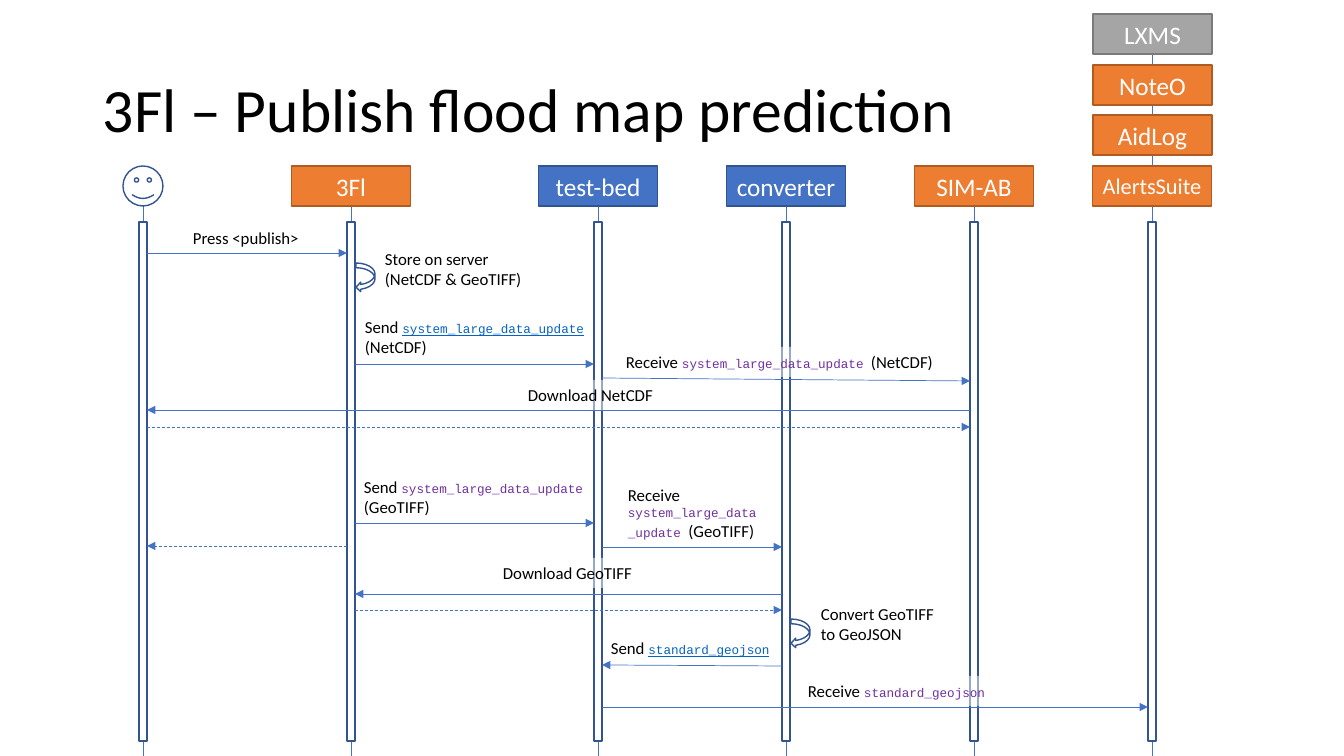
from dataclasses import dataclass

import pptx
import pptx.dml.color
import pptx.enum.dml
import pptx.enum.shapes
import pptx.enum.text
import pptx.oxml
import pptx.oxml.ns
import pptx.util

EMU_PER_PIXEL = 914400 / 100.8
SHAPE = pptx.enum.shapes.MSO_SHAPE
ANCHOR = pptx.enum.text.MSO_ANCHOR
ALIGN = pptx.enum.text.PP_ALIGN


@dataclass(frozen=True)
class Theme:
    """Colours, fonts and type sizes of the slide."""
    body: str = "Calibri"
    mono: str = "Courier New"
    ink: str = "000000"
    paper: str = "FFFFFF"
    line: str = "4472C4"
    outline: str = "325491"
    link: str = "0563C1"
    topic: str = "7030A0"
    blue: tuple = ("4472C4", "325491")
    orange: tuple = ("ED7D31", "AF5C24")
    grey: tuple = ("A5A5A5", "7A7A7A")
    title_size: int = 44
    header_size: int = 18
    long_header_size: int = 16
    label_size: int = 12
    code_size: int = 9


@dataclass(frozen=True)
class Box:
    """A region in pixels."""
    left: int
    top: int
    width: int
    height: int

    def within(self, left, top, width, height):
        """Return a box placed relative to this one."""
        return Box(self.left + left, self.top + top, width, height)

    def emu(self):
        """Return the four lengths in EMU."""
        return [px(n) for n in (self.left, self.top, self.width, self.height)]


THEME = Theme()
HEADER_WIDTH, HEADER_HEIGHT = 119, 40
BAR_TOP, BAR_HEIGHT, BAR_HALF = 56, 519, 4
LIFELINE_X = {"user": 50, "model": 258, "test-bed": 505,
              "converter": 693, "simulator": 881, "suite": 1059}
HEADERS = {
    "model": ("3Fl", THEME.orange, THEME.header_size),
    "test-bed": ("test-bed", THEME.blue, THEME.header_size),
    "converter": ("converter", THEME.blue, THEME.header_size),
    "simulator": ("SIM-AB", THEME.orange, THEME.header_size),
    "suite": ("AlertsSuite", THEME.orange, THEME.long_header_size),
}
STACK = [("LXMS", THEME.grey), ("NoteO", THEME.orange), ("AidLog", THEME.orange)]
MESSAGES = [
    ("user", "model", 87, 87, False),
    ("model", "test-bed", 198, 198, False),
    ("test-bed", "simulator", 212, 215, False),
    ("simulator", "user", 244, 244, False),
    ("user", "simulator", 261, 261, True),
    ("model", "test-bed", 357, 357, False),
    ("model", "user", 380, 380, True),
    ("test-bed", "converter", 381, 381, False),
    ("converter", "model", 428, 428, False),
    ("model", "converter", 444, 444, True),
    ("converter", "test-bed", 500, 499, False),
    ("test-bed", "suite", 541, 541, False),
]
SELF_CALLS = [("model", 97), ("converter", 453)]
UPDATE, GEOJSON = "system_large_data_update", "standard_geojson"
LABELS = [
    ((90, 57, 127, 30), [["Press <publish>"]], False, False),
    ((282, 78, 158, 50), [["Store on server"], ["(NetCDF & GeoTIFF)"]], False, False),
    ((262, 146, 241, 50), [["Send ", (UPDATE, THEME.link)], ["(NetCDF)"]], False, False),
    ((523, 181, 341, 30), [["Receive ", (UPDATE + " ", THEME.topic), "(NetCDF)"]], True, True),
    ((425, 214, 147, 30), [["Download NetCDF"]], True, False),
    ((261, 306, 241, 50), [["Send ", (UPDATE, THEME.topic)], ["(GeoTIFF)"]], False, False),
    ((525, 314, 150, 67), [["Receive ", (UPDATE + " ", THEME.topic), "(GeoTIFF)"]], False, True),
    ((400, 392, 151, 30), [["Download GeoTIFF"]], True, False),
    ((718, 433, 135, 50), [["Convert GeoTIFF"], ["to GeoJSON"]], False, False),
    ((508, 467, 179, 30), [["Send ", (GEOJSON, THEME.link)]], False, False),
    ((705, 510, 206, 30), [["Receive ", (GEOJSON, THEME.topic)]], True, True),
]


def px(pixels):
    """Turn pixels into EMU."""
    return pptx.util.Emu(round(pixels * EMU_PER_PIXEL))


def rgb(code):
    """Turn a hex code into a colour."""
    return pptx.dml.color.RGBColor.from_string(code)


def append_xml(parent, tag, **attributes):
    """Append a drawing element to its parent."""
    child = pptx.oxml.parse_xml(f"<a:{tag} {pptx.oxml.ns.nsdecls('a')}/>")
    for key, setting in attributes.items():
        child.set(key, setting)
    parent.append(child)


def style_run(run, font, size, colour):
    """Set the font, size and colour of a run."""
    run.font.name = font
    run.font.size = pptx.util.Pt(size)
    run.font.color.rgb = rgb(colour)


def draw_shape(slide, preset, box, fill, outline):
    """Draw a preset shape, hollow when it has no fill."""
    shape = slide.shapes.add_shape(preset, *box.emu())
    shape.shadow.inherit = False
    if fill:
        shape.fill.solid()
        shape.fill.fore_color.rgb = rgb(fill)
    else:
        shape.fill.background()
    if outline:
        shape.line.color.rgb = rgb(outline)
        shape.line.width = pptx.util.Pt(1)
    else:
        shape.line.fill.background()
    return shape


def draw_line(slide, start, end, dashed=False, arrow=False):
    """Draw a thin line between two points."""
    line = slide.shapes.add_connector(pptx.enum.shapes.MSO_CONNECTOR.STRAIGHT,
                                      *[px(n) for n in (*start, *end)])
    line.line.color.rgb = rgb(THEME.line)
    line.line.width = pptx.util.Pt(0.5)
    if dashed:
        line.line.dash_style = pptx.enum.dml.MSO_LINE.DASH
    if arrow:
        append_xml(line.line._get_or_add_ln(), "tailEnd", type="triangle")
    append_xml(line._element.spPr, "effectLst")


def draw_title(slide, box):
    """Write the slide title."""
    frame = slide.shapes.add_textbox(*box.emu()).text_frame
    frame.word_wrap = True
    frame.vertical_anchor = ANCHOR.MIDDLE
    frame.text = "3Fl – Publish flood map prediction"
    frame.paragraphs[0].line_spacing = 0.9
    style_run(frame.paragraphs[0].runs[0], THEME.body, THEME.title_size, THEME.ink)


def draw_header(slide, box, name, colours, size):
    """Draw the name box of a participant."""
    frame = draw_shape(slide, SHAPE.RECTANGLE, box, *colours).text_frame
    frame.word_wrap = False
    frame.vertical_anchor = ANCHOR.MIDDLE
    frame.text = name
    frame.paragraphs[0].alignment = ALIGN.CENTER
    style_run(frame.paragraphs[0].runs[0], THEME.body, size, THEME.paper)


def draw_stack(slide, box):
    """Draw the participants that share the last lifeline."""
    centre = box.left + box.width / 2
    draw_line(slide, (centre, box.top + HEADER_HEIGHT), (centre, box.top + box.height))
    for row, (name, colours) in enumerate(STACK):
        place = box.within(0, round(row * box.height / len(STACK)), box.width, HEADER_HEIGHT)
        draw_header(slide, place, name, colours, THEME.header_size)


def draw_lifelines(slide, box):
    """Draw each participant with its stem and activation bar."""
    for participant, x in LIFELINE_X.items():
        centre = box.left + x
        draw_line(slide, (centre, box.top + HEADER_HEIGHT), (centre, box.top + box.height))
        bar = box.within(x - BAR_HALF, BAR_TOP, 2 * BAR_HALF, BAR_HEIGHT)
        draw_shape(slide, SHAPE.RECTANGLE, bar, THEME.paper, THEME.outline)
        if participant in HEADERS:
            place = box.within(x - HEADER_WIDTH / 2, 0, HEADER_WIDTH, HEADER_HEIGHT)
            draw_header(slide, place, *HEADERS[participant])
        else:
            face = box.within(x - HEADER_HEIGHT / 2, 0, HEADER_HEIGHT, HEADER_HEIGHT)
            draw_shape(slide, SHAPE.SMILEY_FACE, face, None, THEME.outline)


def draw_messages(slide, box):
    """Draw the arrows between lifelines and the self calls."""
    for sender, receiver, start_y, end_y, dashed in MESSAGES:
        start_x, end_x = LIFELINE_X[sender], LIFELINE_X[receiver]
        edge = BAR_HALF if end_x > start_x else -BAR_HALF
        draw_line(slide, (box.left + start_x + edge, box.top + start_y),
                  (box.left + end_x - edge, box.top + end_y), dashed, arrow=True)
    for participant, top in SELF_CALLS:
        loop = box.within(LIFELINE_X[participant] + BAR_HALF + 1, top, 19, 29)
        draw_shape(slide, SHAPE.CURVED_LEFT_ARROW, loop, None, THEME.outline)


def draw_labels(slide, box):
    """Write the message labels, veiling the bars behind some."""
    for place, lines, veiled, wraps in LABELS:
        label = draw_shape(slide, SHAPE.RECTANGLE, box.within(*place),
                           THEME.paper if veiled else None, None)
        if veiled:
            append_xml(label.fill._xPr.solidFill[0], "alpha", val="50000")
        frame = label.text_frame
        frame.word_wrap = wraps
        frame.vertical_anchor = ANCHOR.TOP
        for index, parts in enumerate(lines):
            paragraph = frame.add_paragraph() if index else frame.paragraphs[0]
            paragraph.alignment = ALIGN.LEFT
            for part in parts:
                run = paragraph.add_run()
                if isinstance(part, str):
                    run.text = part
                    style_run(run, THEME.body, THEME.label_size, THEME.ink)
                else:
                    run.text, colour = part
                    style_run(run, THEME.mono, THEME.code_size, colour)
                    run.font.underline = colour == THEME.link


def main():
    """Build and save the slide."""
    deck = pptx.Presentation()
    deck.slide_width, deck.slide_height = px(1344), px(756)
    slide = deck.slides.add_slide(deck.slide_layouts[6])
    sequence = Box(93, 166, 1159, 590)
    draw_title(slide, Box(93, 40, 1159, 146))
    draw_stack(slide, Box(1093, 14, HEADER_WIDTH, 152))
    draw_lifelines(slide, sequence)
    draw_messages(slide, sequence)
    draw_labels(slide, sequence)
    deck.save("out.pptx")


main()
